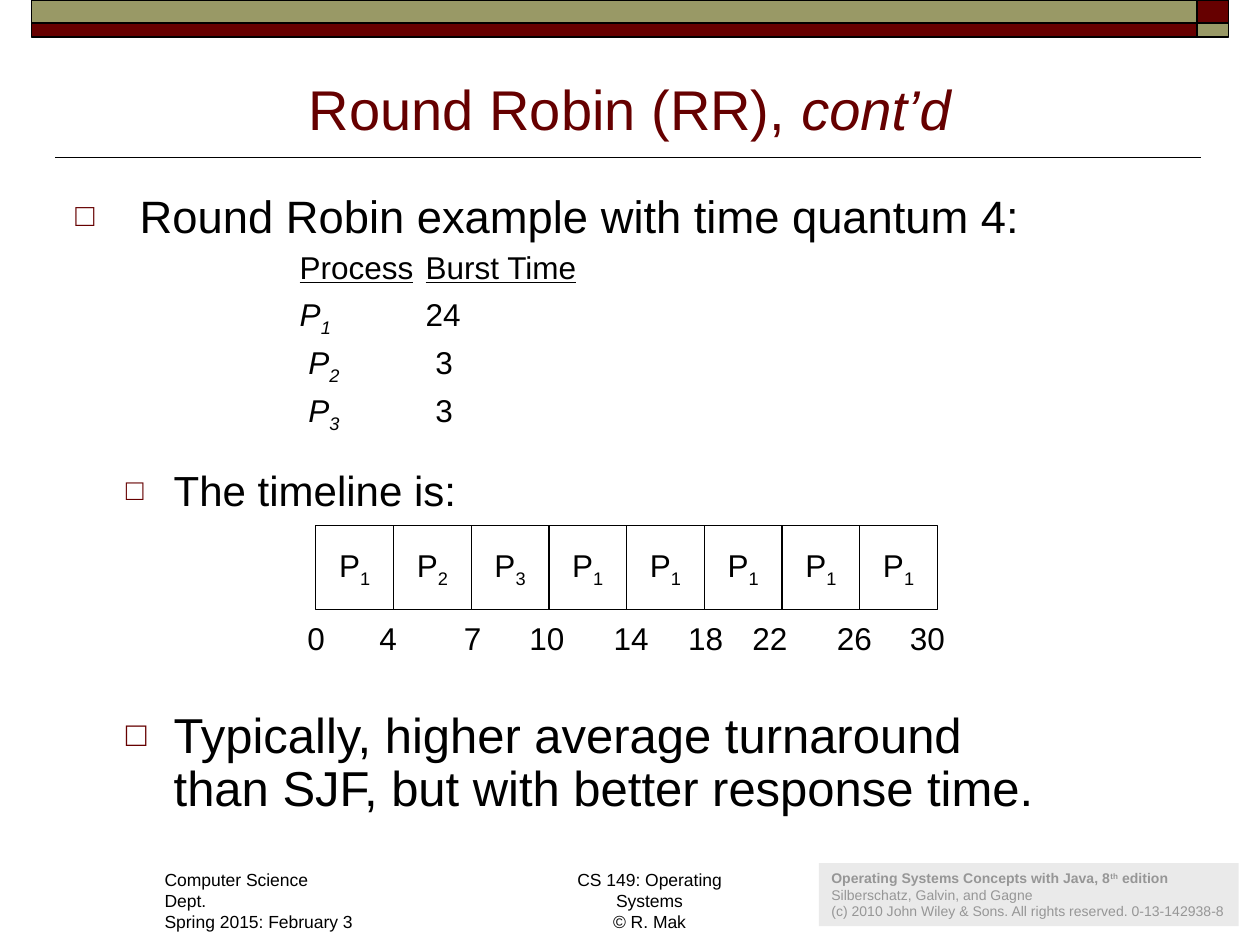
from lxml.etree import SubElement
from pptx import Presentation
from pptx.dml.color import RGBColor
from pptx.enum.shapes import MSO_CONNECTOR as Connector, MSO_SHAPE as Shape
from pptx.enum.text import MSO_ANCHOR as Anchor, PP_ALIGN as Align
from pptx.oxml.ns import qn
from pptx.util import Pt

BLACK, WHITE, MAROON, OLIVE = "000000", "FFFFFF", "660000", "999966"
PALE, GREY = "EAEAEA", "969696"


def colour(code):
    return RGBColor.from_string(code)


class SlideWriter:
    def __init__(self, page, font="Arial", ink=BLACK):
        self.page, self.font, self.ink = page, font, ink

    def line(self, x1, y1, x2, y2):
        rule = self.page.shapes.add_connector(
            Connector.STRAIGHT, Pt(x1), Pt(y1), Pt(x2), Pt(y2))
        rule.line.color.rgb = colour(self.ink)
        rule.line.width = Pt(1)
        SubElement(rule._element.spPr, qn("a:effectLst"))

    def rectangle(self, left, top, width, height, fill, border=None):
        box = self.page.shapes.add_shape(
            Shape.RECTANGLE, Pt(left), Pt(top), Pt(width), Pt(height))
        box.shadow.inherit = False
        box.fill.solid()
        box.fill.fore_color.rgb = colour(fill)
        if border:
            box.line.color.rgb = colour(self.ink)
            box.line.width = Pt(border)
        else:
            box.line.fill.background()
        return self.frame(box, False)

    def text_box(self, left, top, width, height, wrap=True):
        box = self.page.shapes.add_textbox(
            Pt(left), Pt(top), Pt(width), Pt(height))
        return self.frame(box, wrap)

    def frame(self, box, wrap):
        frame = box.text_frame
        frame.word_wrap = wrap
        frame.vertical_anchor = Anchor.TOP
        return frame

    def paragraph(self, frame, spans, size, ink=None, align=Align.LEFT,
                  before=0, spacing=None, bullet_indent=None, tabs=()):
        """Add (text, style) spans; style letters: b, i, u, - lowered, + raised."""
        first = frame.paragraphs[0]
        para = frame.add_paragraph() if first.runs else first
        para.alignment = align
        para.space_before = Pt(before)
        if spacing:
            para.line_spacing = spacing
        if bullet_indent:
            self.bullet(para, bullet_indent)
        if tabs:
            stops = SubElement(para._p.get_or_add_pPr(), qn("a:tabLst"))
            for stop in tabs:
                SubElement(stops, qn("a:tab"), pos=str(Pt(stop)), algn="l")
        para.font.name = self.font
        para.font.size = Pt(size)
        para.font.color.rgb = colour(ink or self.ink)
        for text, style in spans:
            if text == "\n":
                para.add_line_break()
                continue
            span = para.add_run()
            span.text = text
            if "b" in style:
                span.font.bold = True
            if "i" in style:
                span.font.italic = True
            if "u" in style:
                span.font.underline = True
            if "-" in style:
                span._r.get_or_add_rPr().set("baseline", "-25000")
            if "+" in style:
                span._r.get_or_add_rPr().set("baseline", "30000")

    def bullet(self, para, indent):
        props = para._p.get_or_add_pPr()
        props.set("marL", str(Pt(indent)))
        props.set("indent", str(Pt(-indent)))
        SubElement(SubElement(props, qn("a:buClr")), qn("a:srgbClr"), val=MAROON)
        SubElement(props, qn("a:buSzPct"), val="70000")
        SubElement(props, qn("a:buFont"), typeface=self.font)
        SubElement(props, qn("a:buChar"), char="□")


def add_frame(writer):
    writer.line(31.7, 90, 686.2, 90)
    for top, height, wide, corner in ((0, 13, OLIVE, MAROON),
                                      (13, 8, MAROON, OLIVE)):
        writer.rectangle(18, top, 666, height, wide, 1)
        writer.rectangle(684, top, 18, height, corner, 1)


def add_footer(writer):
    dept = writer.text_box(87, 493.2, 122.4, 31.7, wrap=False)
    for text in ("Computer Science Dept.", "Spring 2015: February 3"):
        writer.paragraph(dept, [(text, "")], 10)
    course = writer.text_box(302.4, 493.2, 137.5, 31.7, wrap=False)
    writer.paragraph(course, [("CS 149: Operating Systems", ""), ("\n", ""),
                              ("© R. Mak", "")], 10, align=Align.CENTER)
    credit = writer.rectangle(468, 493.2, 239.8, 36, PALE)
    for spans in (
        [("Operating Systems Concepts with Java, 8", "b"), ("th", "b+"),
         (" edition", "b")],
        [("Silberschatz, Galvin, and Gagne", "")],
        [("(c) 2010 John Wiley & Sons. All rights reserved. 0-13-142938-8", "")],
    ):
        writer.paragraph(credit, spans, 8, GREY)


def add_body(writer):
    title = writer.text_box(36, 32.4, 648, 52)
    title.vertical_anchor = Anchor.BOTTOM
    writer.paragraph(title, [("Round Robin (RR), ", ""), ("cont’d", "i")],
                     32, MAROON, Align.CENTER)

    example = writer.text_box(36, 104, 648, 38)
    writer.paragraph(example, [("Round Robin example with time quantum 4:", "")],
                     25.9, bullet_indent=36.8)

    body = writer.text_box(64.8, 140.4, 578.9, 345.6)
    writer.paragraph(body, [("\t", ""), ("Process", "u"), ("\t", ""),
                            ("Burst Time", "u")],
                     18, spacing=0.9, tabs=(99.4, 171.4))
    for number, burst, tabs in (("1", "24", (99.4, 171.4)),
                                ("2", "3", (104.4, 177)),
                                ("3", "3", (104.4, 177))):
        writer.paragraph(body, [("\t", ""), ("P", "i"), (number, "i-"),
                                ("\t" + burst, "")],
                         18, before=5.5, spacing=0.9, tabs=tabs)
    writer.paragraph(body, [("The timeline is:", "")], 24,
                     before=22.3, spacing=0.9, bullet_indent=27.4)
    writer.paragraph(body, [("Typically, higher average turnaround", ""),
                            ("\n", ""),
                            ("than SJF, but with better response time.", "")],
                     28, before=112, spacing=0.9, bullet_indent=27.4)


def add_timeline(writer):
    left, top, width, height = 180.5, 300.2, 44.4, 48
    for index, number in enumerate("12311111"):
        cell = writer.rectangle(left + index * width, top, width, height,
                                WHITE, 0.75)
        cell.vertical_anchor = Anchor.MIDDLE
        writer.paragraph(cell, [("P", ""), (number, "-")], 18,
                         align=Align.CENTER)
    centres = {0: 180.7, 4: 221.8, 7: 270, 10: 312.5, 14: 360.7,
               18: 403.2, 22: 439.9, 26: 488.2, 30: 529.9}
    for time, centre in centres.items():
        label = writer.text_box(centre - 17.3, 350, 34.6, 28.8, wrap=False)
        label.vertical_anchor = Anchor.MIDDLE
        writer.paragraph(label, [(str(time), "")], 18, align=Align.CENTER)


def main():
    deck = Presentation()
    deck.slide_width, deck.slide_height = Pt(720), Pt(540)
    writer = SlideWriter(deck.slides.add_slide(deck.slide_layouts[6]))
    add_frame(writer)
    add_body(writer)
    add_timeline(writer)
    add_footer(writer)
    deck.save("out.pptx")


if __name__ == "__main__":
    main()
